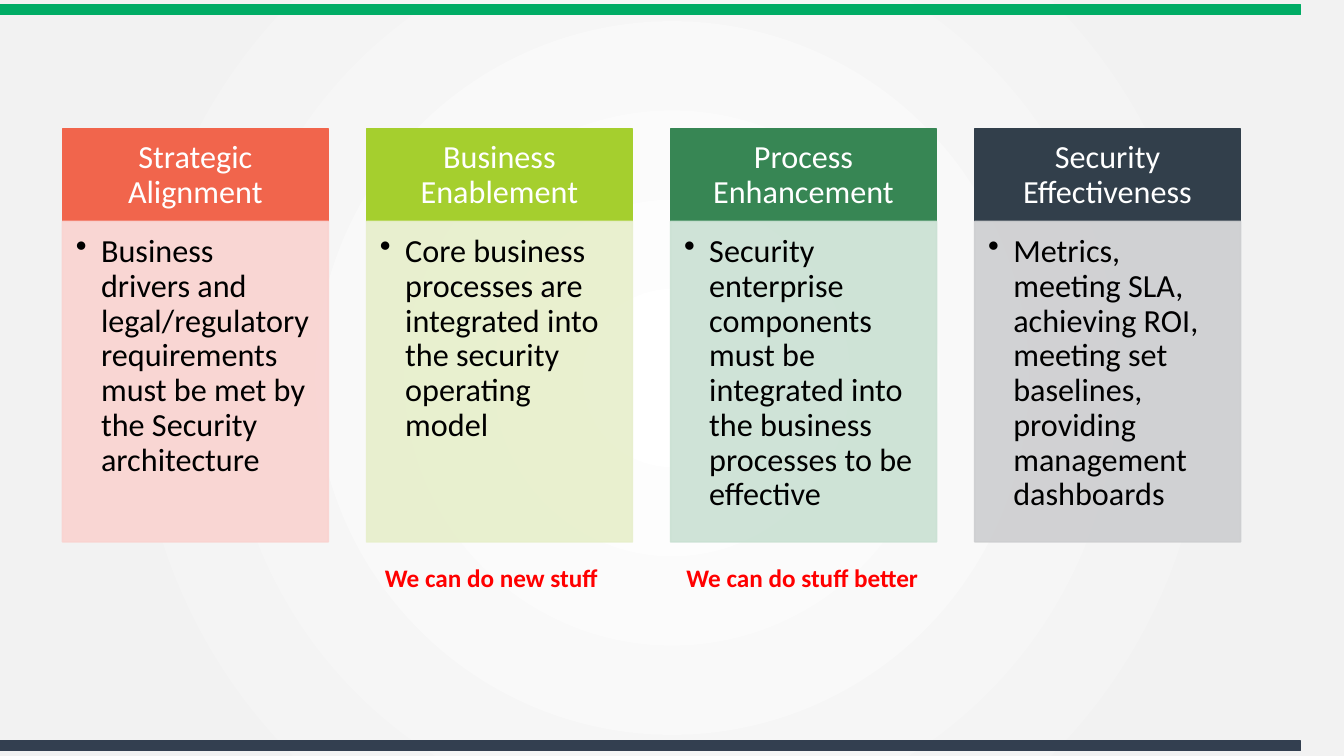
from dataclasses import dataclass

from pptx import Presentation
from pptx.dml.color import RGBColor
from pptx.enum.shapes import MSO_SHAPE as Kind
from pptx.enum.text import MSO_ANCHOR as Anchor, PP_ALIGN as Align
from pptx.oxml import parse_xml
from pptx.oxml.ns import nsdecls, qn
from pptx.oxml.xmlchemy import OxmlElement as make
from pptx.util import Pt


@dataclass(frozen=True)
class Theme:
    font: str = "Calibri"
    size: float = 23
    note_size: float = 18
    white: str = "FFFFFF"
    black: str = "000000"
    red: str = "FF0000"
    green: str = "00AC65"
    navy: str = "333F50"
    edge: str = "F2F2F2"
    alpha: int = 90


@dataclass(frozen=True)
class Box:
    left: float
    top: float
    width: float
    height: float


@dataclass(frozen=True)
class Pillar:
    title: str
    body: str
    dark: str
    pale: str


@dataclass(frozen=True)
class Note:
    text: str
    left: float


THEME = Theme()
LEFT, STEP, WIDTH = 44.6, 217.2, 190
HEAD_TOP, HEAD_H, BODY_H = 92.2, 65.9, 229

PILLARS = [
    Pillar("Strategic Alignment",
           "Business drivers and legal/regulatory requirements must be met "
           "by the Security architecture", "F1654C", "FAD3D0"),
    Pillar("Business Enablement",
           "Core business processes are integrated into the security "
           "operating model", "A5CF2E", "E7EFCB"),
    Pillar("Process Enhancement",
           "Security enterprise components must be integrated into the "
           "business processes to be effective", "378654", "CAE1D3"),
    Pillar("Security Effectiveness",
           "Metrics, meeting SLA, achieving ROI, meeting set baselines, "
           "providing management dashboards", "323F4B", "CDCED0"),
]
NOTES = [Note("We can do new stuff", 267.8), Note("We can do stuff better", 483.1)]


def place(box: Box) -> list:
    return [Pt(v) for v in (box.left, box.top, box.width, box.height)]


def add_rect(slide, box: Box, color: str, alpha: int = 100):
    shape = slide.shapes.add_shape(Kind.RECTANGLE, *place(box))
    shape.shadow.inherit = False
    shape.line.width = Pt(1)
    for fill in (shape.fill, shape.line.fill):
        fill.solid()
        fill.fore_color.rgb = RGBColor.from_string(color)
    if alpha < 100:
        for tone in shape.element.spPr.iter(qn("a:srgbClr")):
            node = make("a:alpha")
            node.set("val", str(alpha * 1000))
            tone.append(node)
    return shape


def set_frame(shape, pads: tuple, anchor: Anchor):
    frame = shape.text_frame
    frame.word_wrap = True
    frame.vertical_anchor = anchor
    (frame.margin_left, frame.margin_top,
     frame.margin_right, frame.margin_bottom) = [Pt(p) for p in pads]
    return frame.paragraphs[0]


def add_run(para, text: str, size: float, color: str, bold: bool = False) -> None:
    run = para.add_run()
    run.text = text
    font = run.font
    font.name, font.size, font.bold = THEME.font, Pt(size), bold
    font.color.rgb = RGBColor.from_string(color)


def add_bullet(para, indent: float) -> None:
    props = para._p.get_or_add_pPr()
    props.set("marL", str(Pt(indent)))
    props.set("indent", str(-Pt(indent)))
    mark = make("a:buChar")
    mark.set("char", "•")
    props.append(mark)


def add_pillar(slide, item: Pillar, left: float) -> None:
    head = add_rect(slide, Box(left, HEAD_TOP, WIDTH, HEAD_H), item.dark)
    para = set_frame(head, (13, 7.2, 13, 7.2), Anchor.MIDDLE)
    para.alignment, para.line_spacing = Align.CENTER, 0.9
    add_run(para, item.title, THEME.size, THEME.white)

    body = add_rect(slide, Box(left, HEAD_TOP + HEAD_H, WIDTH, BODY_H),
                    item.pale, THEME.alpha)
    para = set_frame(body, (9.6, 9.6, 13, 14.4), Anchor.TOP)
    para.alignment, para.line_spacing = Align.LEFT, 0.9
    add_bullet(para, 18)
    add_run(para, item.body, THEME.size, THEME.black)


def add_note(slide, note: Note) -> None:
    label = slide.shapes.add_textbox(*place(Box(note.left, 398.2, 188.6, 29)))
    para = set_frame(label, (7.2, 3.6, 7.2, 3.6), Anchor.TOP)
    add_run(para, note.text, THEME.note_size, THEME.red, bold=True)


def set_back(slide) -> None:
    slide.background.fill.gradient()
    old = slide.element.find(".//" + qn("a:gradFill"))
    stops = "".join(
        f'<a:gs pos="{pos * 1000}"><a:srgbClr val="{tone}"/></a:gs>'
        for pos, tone in ((0, THEME.white), (81, THEME.edge), (100, THEME.edge)))
    new = parse_xml(
        f'<a:gradFill {nsdecls("a")} rotWithShape="1"><a:gsLst>{stops}</a:gsLst>'
        '<a:path path="circle"><a:fillToRect l="50000" t="50000" r="50000" '
        'b="50000"/></a:path></a:gradFill>')
    old.getparent().replace(old, new)


deck = Presentation()
deck.slide_width, deck.slide_height = Pt(960), Pt(540)
slide = deck.slides.add_slide(deck.slide_layouts[6])
set_back(slide)

# Top and bottom bars
for top, color in ((3.4, THEME.green), (529.2, THEME.navy)):
    add_rect(slide, Box(0, top, 929, 7), color)

# Four pillars
for i, item in enumerate(PILLARS):
    add_pillar(slide, item, LEFT + i * STEP)

# Red notes below the middle pillars
for note in NOTES:
    add_note(slide, note)

deck.save("out.pptx")
